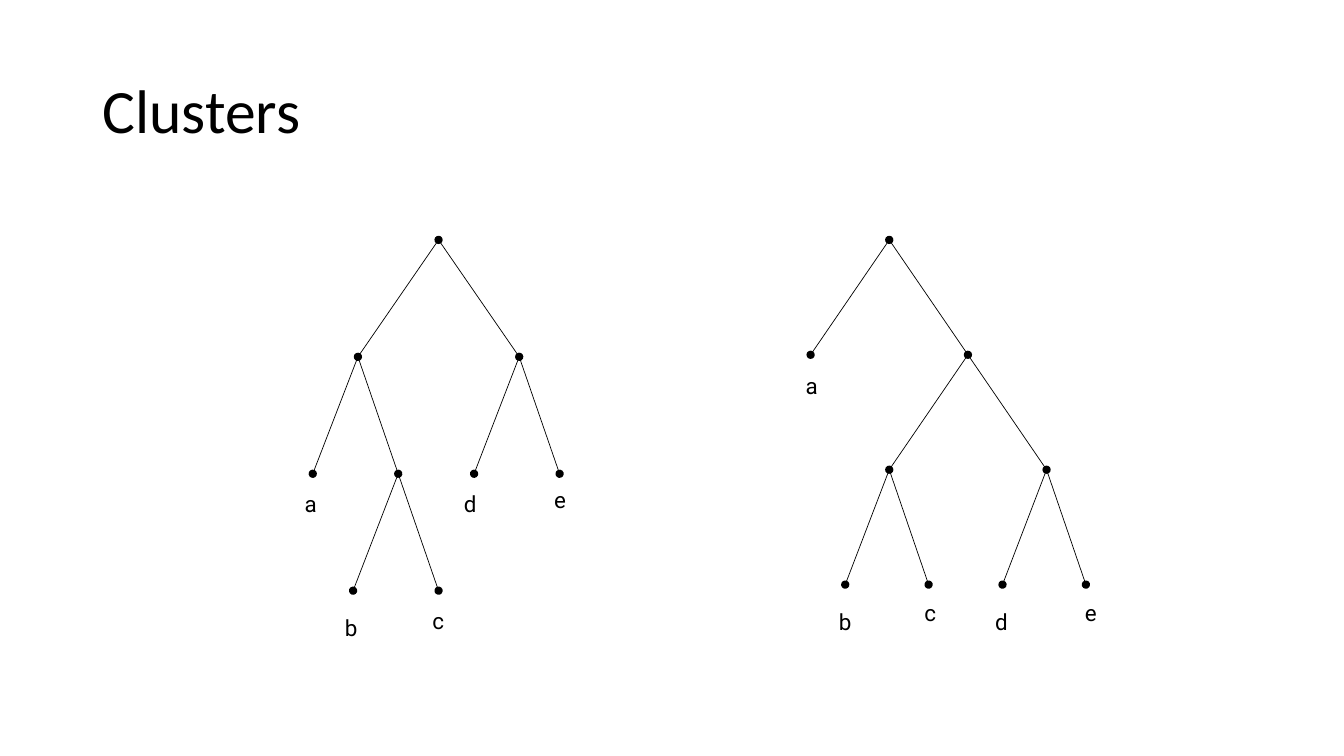
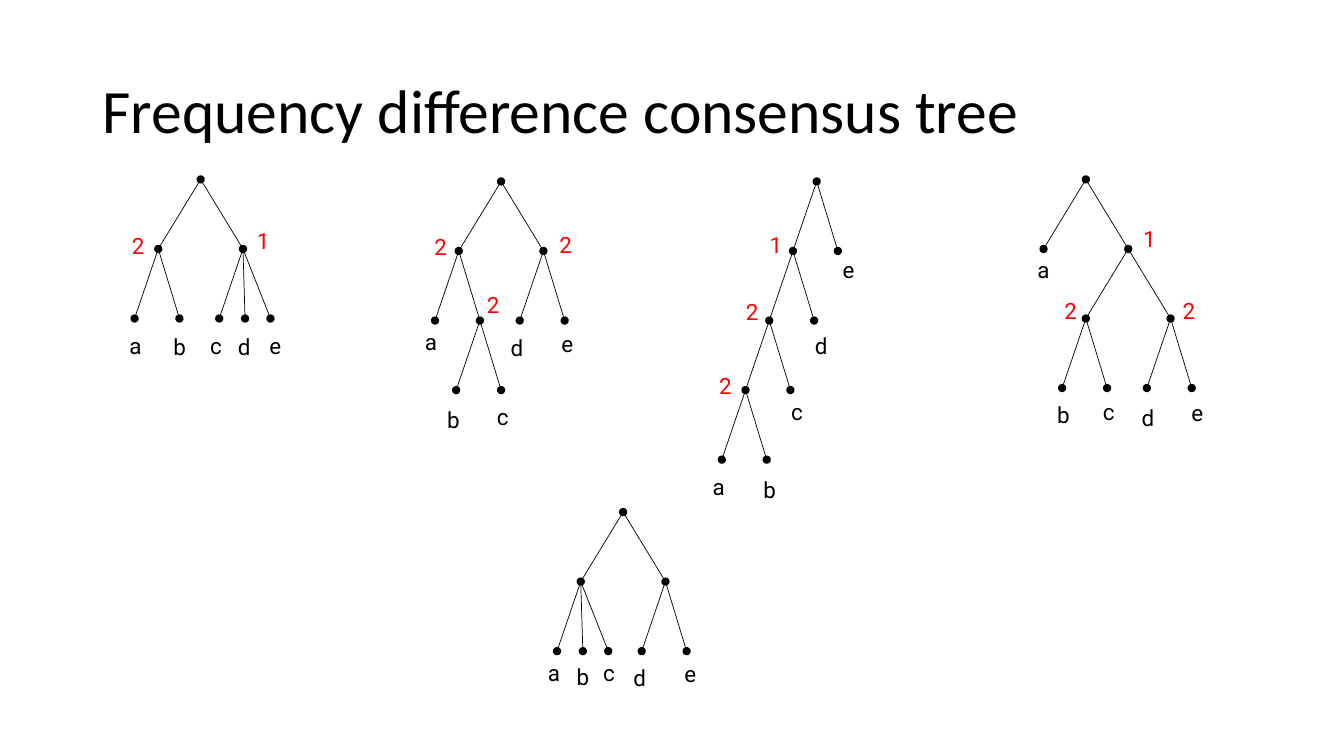
from collections import namedtuple
from lxml import etree
from pptx import Presentation
from pptx.dml.color import RGBColor
from pptx.enum.shapes import MSO_CONNECTOR as Conn
from pptx.enum.text import MSO_ANCHOR as Anchor, MSO_AUTO_SIZE as Fit
from pptx.oxml.ns import qn
from pptx.util import Inches, Pt

BLACK = RGBColor(0x00, 0x00, 0x00)
RED = RGBColor(0xFF, 0x00, 0x00)
WIDE, LEFT, RIGHT = 2, -1.12, 1
LABEL_COLS, LABEL_ROWS = 1.5, 0.54

Node = namedtuple("Node", "step label dx dy children")


def node(step, label, dx, dy, *children):
    return Node(step, label, dx, dy, children)


def fork(step, *children):
    return Node(step, None, 0, 0, children)


class Deck:
    title_font, label_font = "Calibri", "Roboto"

    def __init__(self):
        self.prs = Presentation()
        self.prs.slide_width, self.prs.slide_height = Inches(13.33), Inches(7.5)
        self.s = None

    def slide(self, title):
        self.s = self.prs.slides.add_slide(self.prs.slide_layouts[6])
        tf = self.text(title, 0.92, 0.4, 11.5, 1.45, self.title_font, 44, BLACK)
        tf.vertical_anchor = Anchor.MIDDLE
        tf.word_wrap = True
        tf.paragraphs[0].line_spacing = 0.9

    def text(self, text, x, y, w, h, font, size, color):
        sp = self.s.shapes.add_textbox(Inches(x), Inches(y), Inches(w), Inches(h))
        tf = sp.text_frame
        p = tf.paragraphs[0]
        p.text = text
        p.font.name, p.font.size = font, Pt(size)
        p.font.color.rgb = color
        return tf

    def edge(self, x1, y1, x2, y2, from_root):
        sp = self.s.shapes.add_connector(
            Conn.STRAIGHT, Inches(x1), Inches(y1), Inches(x2), Inches(y2))
        sp.line.color.rgb = BLACK
        sp.line.width = Pt(0.5)
        ln = sp.line._get_or_add_ln()
        for end in ("headEnd", "tailEnd") if from_root else ("tailEnd",):
            etree.SubElement(ln, qn(f"a:{end}"), type="oval")
        etree.SubElement(sp._element.spPr, qn("a:effectLst"))

    def label(self, n, x, y, col, row):
        color = RED if n.label.isdigit() else BLACK
        tf = self.text(n.label, x + n.dx * col, y + n.dy * row,
                       LABEL_COLS * col, LABEL_ROWS * row, self.label_font, 16, color)
        tf.word_wrap = False
        tf.auto_size = Fit.SHAPE_TO_FIT_TEXT

    def tree(self, x, y, col, row, children, is_root=True):
        for i, n in enumerate(children):
            nx, ny = x + n.step * col, y + row
            self.edge(x, y, nx, ny, is_root and i == 0)
            if n.label:
                self.label(n, nx, ny, col, row)
            self.tree(nx, ny, col, row, n.children, False)


deck = Deck()

deck.slide("Clusters")
deck.tree(4.35, 2.38, 0.4, 1.16, [
    fork(-WIDE,
         node(LEFT, "a", -0.45, 0.1),
         fork(RIGHT,
              node(LEFT, "b", -0.45, 0.16),
              node(RIGHT, "c", -0.4, 0.1))),
    fork(WIDE,
         node(LEFT, "d", -0.5, 0.1),
         node(RIGHT, "e", -0.38, 0.06)),
])
deck.tree(8.82, 2.38, 0.39, 1.14, [
    node(-WIDE, "a", -0.38, 0.11),
    fork(WIDE,
         fork(-WIDE,
              node(LEFT, "b", -0.41, 0.16),
              node(RIGHT, "c", -0.36, 0.08)),
         fork(WIDE,
              node(LEFT, "d", -0.44, 0.16),
              node(RIGHT, "e", -0.28, 0.08))),
])

deck.slide("Frequency difference consensus tree")
SMALL = (0.21, 0.69)
deck.tree(1.99, 1.78, *SMALL, [
    node(-WIDE, "2", -1.71, -0.32,
         node(LEFT, "a", -0.71, 0.12),
         node(RIGHT, "b", -0.76, 0.14)),
    node(WIDE, "1", 0.19, -0.38,
         node(LEFT, "c", -0.9, 0.12),
         node(0.1, "d", -0.81, 0.14),
         node(1.3, "e", -0.52, 0.12)),
])
deck.tree(4.97, 1.8, *SMALL, [
    node(-WIDE, "2", -1.62, -0.33,
         node(LEFT, "a", -0.95, 0.04),
         node(RIGHT, "2", -0.14, -0.49,
              node(LEFT, "b", -0.9, 0.16),
              node(RIGHT, "c", -0.67, 0.12))),
    node(WIDE, "2", 0.29, -0.36,
         node(LEFT, "d", -0.9, 0.12),
         node(RIGHT, "e", -0.62, 0.06)),
])
deck.tree(8.1, 1.8, *SMALL, [
    node(LEFT, "1", -1.57, -0.36,
         node(LEFT, "2", -1.57, -0.39,
              node(LEFT, "2", -1.71, -0.33,
                   node(LEFT, "a", -0.9, 0.12),
                   node(RIGHT, "b", -0.62, 0.16)),
              node(RIGHT, "c", -0.43, 0.04)),
         node(RIGHT, "d", -0.43, 0.1)),
    node(RIGHT, "e", -0.24, 0.01),
])
deck.tree(10.77, 1.78, *SMALL, [
    node(-WIDE, "a", -0.76, 0.03),
    node(WIDE, "1", 0.24, -0.41,
         node(-WIDE, "2", -1.48, -0.38,
              node(LEFT, "b", -0.71, 0.12),
              node(RIGHT, "c", -0.67, 0.07)),
         node(WIDE, "2", 0.1, -0.38,
              node(LEFT, "d", -0.71, 0.16),
              node(RIGHT, "e", -0.48, 0.09))),
])
deck.tree(6.18, 5.08, *SMALL, [
    fork(-WIDE,
         node(LEFT, "a", -0.9, 0.04),
         node(0.1, "b", -0.76, 0.1),
         node(1.3, "c", -0.71, 0.04)),
    fork(WIDE,
         node(LEFT, "d", -0.86, 0.12),
         node(RIGHT, "e", -0.57, 0.06)),
])

deck.prs.save("out.pptx")
